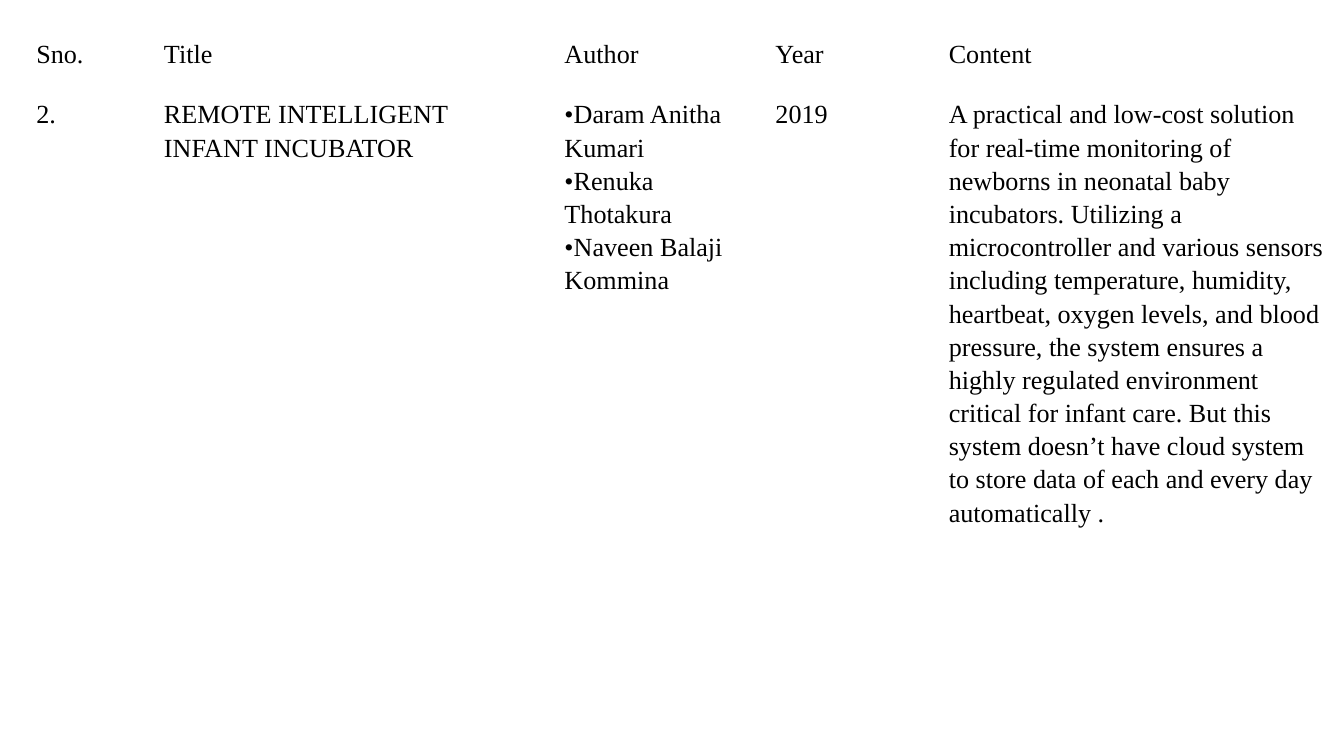
from dataclasses import dataclass

from pptx import Presentation
from pptx.dml.color import RGBColor as Rgb
from pptx.enum.text import MSO_ANCHOR as Anchor
from pptx.util import Pt

HUES = {"text": "000000", "back": "FFFFFF"}
FONT = "Times New Roman"
PAD = Pt(7.2)
HEIGHTS = (25.2, 359.3)


@dataclass
class Column:
    width: float
    head: str
    lines: tuple[str, ...]


COLUMNS = (
    Column(68.4, "Sno.", ("2.",)),
    Column(214.56, "Title", ("REMOTE INTELLIGENT INFANT INCUBATOR",)),
    Column(113.04, "Author", (
        "•Daram Anitha Kumari",
        "•Renuka Thotakura",
        "•Naveen Balaji Kommina",
    )),
    Column(92.88, "Year", ("2019",)),
    Column(218.88, "Content", (
        "A practical and low-cost solution for real-time monitoring of "
        "newborns in neonatal baby incubators. Utilizing a microcontroller "
        "and various sensors including temperature, humidity, heartbeat, "
        "oxygen levels, and blood pressure, the system ensures a highly "
        "regulated environment critical for infant care. But this system "
        "doesn’t have cloud system to store data of each and every day "
        "automatically .",
    )),
)


def fill_cell(cell, lines: tuple[str, ...]) -> None:
    cell.fill.background()
    cell.margin_left = cell.margin_right = PAD
    cell.margin_top = cell.margin_bottom = PAD
    cell.vertical_anchor = Anchor.TOP
    cell.text = "\n".join(lines)
    for para in cell.text_frame.paragraphs:
        para.line_spacing = 1.15
        para.font.name = FONT
        para.font.size = Pt(14)
        para.font.color.rgb = Rgb.from_string(HUES["text"])


def draw_table(slide, columns: tuple[Column, ...]) -> None:
    width = sum(col.width for col in columns)
    frame = slide.shapes.add_table(
        len(HEIGHTS), len(columns),
        Pt(12.24), Pt(12.24), Pt(width), Pt(sum(HEIGHTS)),
    )
    table = frame.table
    table.first_row = table.horz_banding = False
    for row, height in zip(table.rows, HEIGHTS):
        row.height = Pt(height)
    for index, col in enumerate(columns):
        table.columns[index].width = Pt(col.width)
        fill_cell(table.cell(0, index), (col.head,))
        fill_cell(table.cell(1, index), col.lines)


def main() -> None:
    deck = Presentation()
    deck.slide_width, deck.slide_height = Pt(720), Pt(405)
    slide = deck.slides.add_slide(deck.slide_layouts[6])
    back = slide.background.fill
    back.solid()
    back.fore_color.rgb = Rgb.from_string(HUES["back"])
    draw_table(slide, COLUMNS)
    deck.save("out.pptx")


if __name__ == "__main__":
    main()
